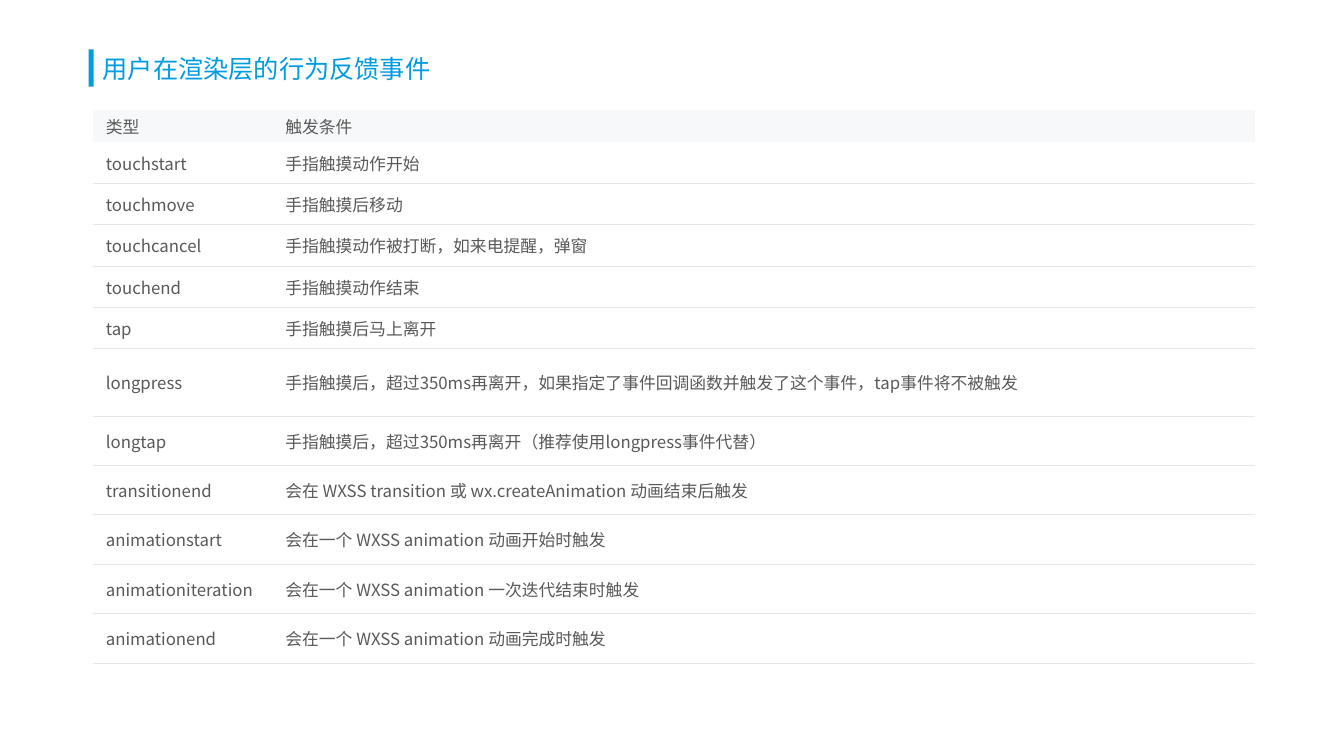
from dataclasses import dataclass

import pptx
import pptx.dml.color
import pptx.enum.shapes
import pptx.enum.text
import pptx.oxml
import pptx.oxml.ns
import pptx.util
from lxml import etree

Inches = pptx.util.Inches
Pt = pptx.util.Pt
qn = pptx.oxml.ns.qn
MIDDLE = pptx.enum.text.MSO_ANCHOR.MIDDLE


@dataclass(frozen=True)
class Theme:
    accent: str = "009CE0"
    text: str = "595959"
    header_fill: str = "F6F8F9"
    body_fill: str = "FFFFFF"
    rule: str = "E7E7EB"
    rule_width: float = 0.75
    title_size: float = 18
    table_size: float = 12
    latin_font: str = "Arial"
    cjk_font: str = "Noto Sans CJK SC"


THEME = Theme()

TITLE = "用户在渲染层的行为反馈事件"
COLUMN_WIDTHS = (1.78, 9.75)
HEADER_HEIGHT = 0.32
HEADER = ("类型", "触发条件")
EVENTS = (
    (0.41, "touchstart", "手指触摸动作开始"),
    (0.41, "touchmove", "手指触摸后移动"),
    (0.41, "touchcancel", "手指触摸动作被打断，如来电提醒，弹窗"),
    (0.41, "touchend", "手指触摸动作结束"),
    (0.41, "tap", "手指触摸后马上离开"),
    (0.67, "longpress", "手指触摸后，超过350ms再离开，如果指定了事件回调函数并触发了这个事件，tap事件将不被触发"),
    (0.49, "longtap", "手指触摸后，超过350ms再离开（推荐使用longpress事件代替）"),
    (0.49, "transitionend", "会在 WXSS transition 或 wx.createAnimation 动画结束后触发"),
    (0.49, "animationstart", "会在一个 WXSS animation 动画开始时触发"),
    (0.49, "animationiteration", "会在一个 WXSS animation 一次迭代结束时触发"),
    (0.49, "animationend", "会在一个 WXSS animation 动画完成时触发"),
)


def rgb(value):
    return pptx.dml.color.RGBColor.from_string(value)


def write_text(text_frame, text, size, color, font_name):
    text_frame.text = text
    for run in text_frame.paragraphs[0].runs:
        run.font.size = Pt(size)
        run.font.bold = False
        run.font.color.rgb = rgb(color)
        run.font.name = font_name
        east_asian = etree.SubElement(run._r.get_or_add_rPr(), qn("a:ea"))
        east_asian.set("typeface", THEME.cjk_font)


def set_borders(cell, ruled_sides):
    """Draw a thin rule on the given sides (T, B) and clear the others."""
    properties = cell._tc.get_or_add_tcPr()
    for position, side in enumerate("LRTB"):
        line = etree.Element(qn(f"a:ln{side}"), w=str(Pt(THEME.rule_width)))
        if side in ruled_sides:
            fill = etree.SubElement(line, qn("a:solidFill"))
            etree.SubElement(fill, qn("a:srgbClr"), val=THEME.rule)
        else:
            etree.SubElement(line, qn("a:noFill"))
        properties.insert(position, line)


def add_title(slide, left, top, width, height):
    bar = slide.shapes.add_shape(
        pptx.enum.shapes.MSO_SHAPE.RECTANGLE,
        Inches(left - 0.04), Inches(top + 0.09), Inches(0.05), Inches(0.37))
    bar.shadow.inherit = False
    bar.fill.solid()
    bar.fill.fore_color.rgb = rgb(THEME.accent)
    bar.line.fill.background()

    title = slide.shapes.add_textbox(
        Inches(left), Inches(top), Inches(width), Inches(height))
    title.text_frame.word_wrap = True
    title.text_frame.vertical_anchor = MIDDLE
    write_text(title.text_frame, TITLE, THEME.title_size, THEME.accent, THEME.latin_font)
    title.text_frame.paragraphs[0].line_spacing = 0.9


def fill_cell(cell, text, fill, padding, ruled_sides):
    cell.margin_left = cell.margin_right = Inches(0.13)
    cell.margin_top = cell.margin_bottom = Inches(padding)
    cell.vertical_anchor = MIDDLE
    cell.fill.solid()
    cell.fill.fore_color.rgb = rgb(fill)
    set_borders(cell, ruled_sides)
    write_text(cell.text_frame, text, THEME.table_size, THEME.text, THEME.cjk_font)


def add_event_table(slide, left, top, width, height):
    rows = ((HEADER_HEIGHT, *HEADER), *EVENTS)
    table = slide.shapes.add_table(
        len(rows), len(HEADER),
        Inches(left), Inches(top), Inches(width), Inches(height)).table
    table.horz_banding = False
    for column, column_width in zip(table.columns, COLUMN_WIDTHS):
        column.width = Inches(column_width)
    for index, (row_height, *texts) in enumerate(rows):
        table.rows[index].height = Inches(row_height)
        if index == 0:
            fill, padding, ruled_sides = THEME.header_fill, 0.04, ""
        else:
            fill, padding = THEME.body_fill, 0.08
            ruled_sides = "B" if index == 1 else "TB"
        for cell, text in zip(table.rows[index].cells, texts):
            fill_cell(cell, text, fill, padding, ruled_sides)


def main():
    presentation = pptx.Presentation()
    presentation.slide_width = Inches(13.33)
    presentation.slide_height = Inches(7.5)
    slide = presentation.slides.add_slide(presentation.slide_layouts[6])
    add_title(slide, 0.92, 0.4, 11.5, 0.59)
    add_event_table(slide, 0.92, 1.09, 11.53, 5.5)
    presentation.save("out.pptx")


if __name__ == "__main__":
    main()
